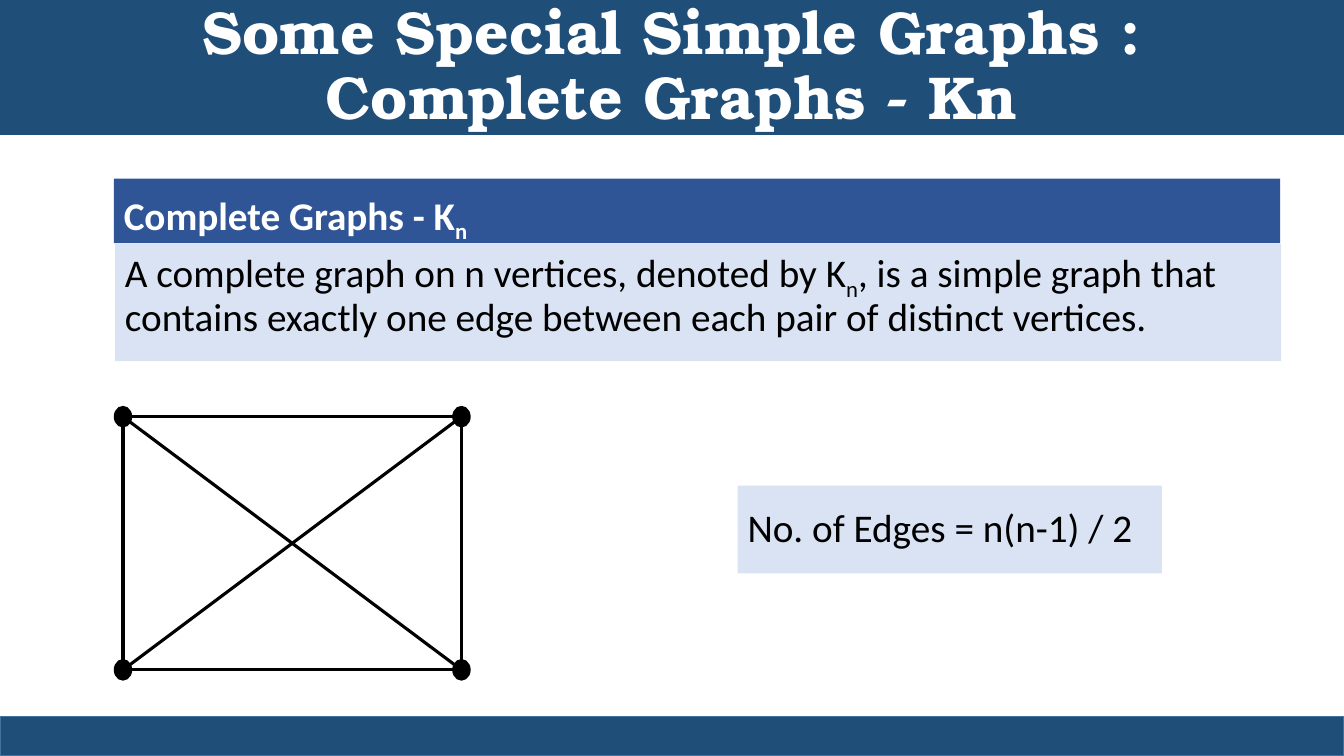
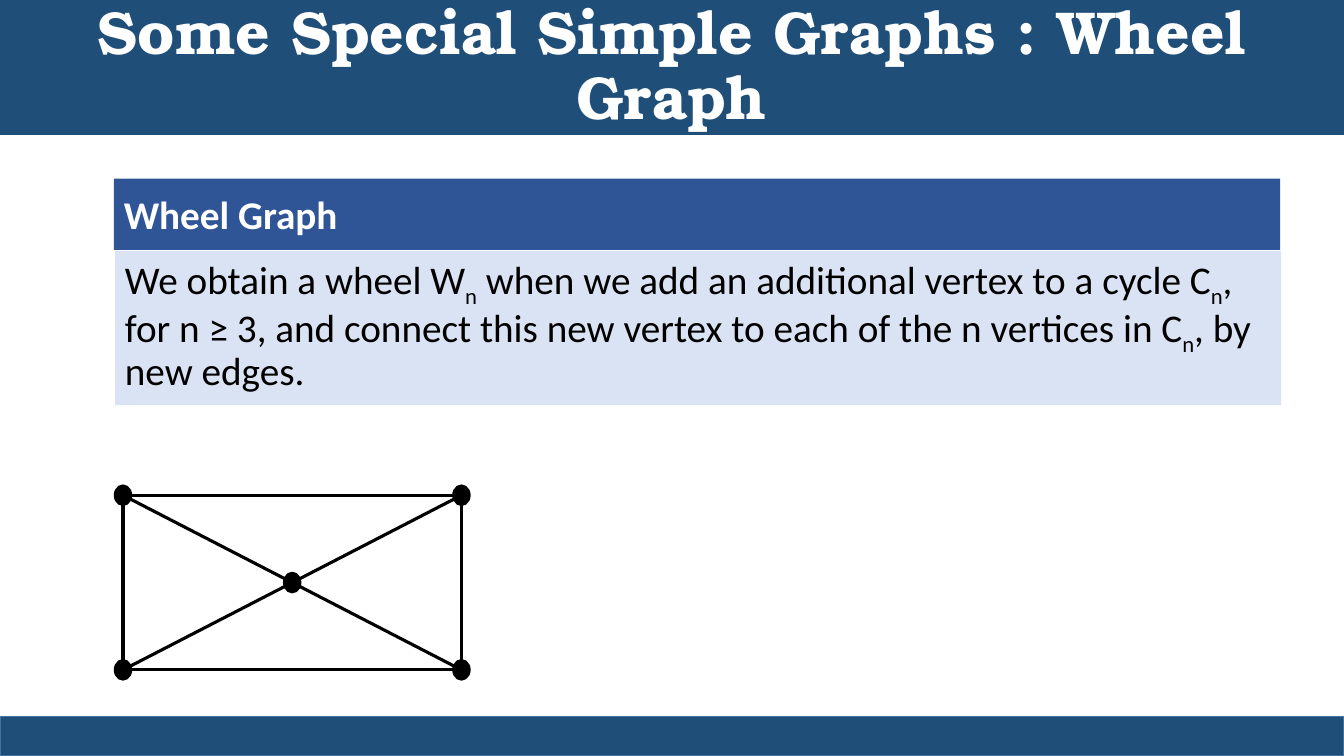
from itertools import combinations

from lxml import etree
from pptx import Presentation
from pptx.dml.color import RGBColor
from pptx.enum.shapes import MSO_CONNECTOR, MSO_SHAPE
from pptx.enum.text import MSO_ANCHOR, PP_ALIGN
from pptx.oxml.ns import qn
from pptx.util import Cm, Pt

SLIDE_WIDTH, SLIDE_HEIGHT = 33.87, 19.05
BAND, BAND_EDGE = "1F4E79", "43739E"
HEADING_FILL, BODY_FILL = "2F5597", "DAE3F3"
WHITE, BLACK = "FFFFFF", "000000"
TITLE_FONT, TEXT_FONT = "TeX Gyre Bonum", "Calibri"
TITLE_SIZE, TEXT_SIZE = 43.2, 28
VERTEX_WIDTH, VERTEX_HEIGHT = 0.43, 0.51


def color(value):
    return RGBColor.from_string(value)


def add_box(slide, box, fill, line=None, kind=MSO_SHAPE.RECTANGLE):
    shape = slide.shapes.add_shape(kind, *map(Cm, box))
    shape.shadow.inherit = False
    shape.fill.solid()
    shape.fill.fore_color.rgb = color(fill)
    if line:
        shape.line.color.rgb = color(line)
        shape.line.width = Pt(1)
    else:
        shape.line.fill.background()
    return shape


def write(shape, text, size=TEXT_SIZE, font=TEXT_FONT, ink=BLACK, bold=False,
          spacing=0.9, align=PP_ALIGN.LEFT, anchor=MSO_ANCHOR.TOP):
    frame = shape.text_frame
    frame.word_wrap = True
    frame.vertical_anchor = anchor
    paragraph = frame.paragraphs[0]
    paragraph.alignment = align
    paragraph.line_spacing = spacing
    paragraph.font.size = Pt(size)
    paragraph.font.name = font
    paragraph.font.bold = bold
    paragraph.font.color.rgb = color(ink)
    for line_index, line in enumerate(text.split("\n")):
        if line_index:
            paragraph.add_line_break()
        for part_index, part in enumerate(line.split("_")):
            run = paragraph.add_run()
            run.text = part
            if part_index % 2:
                run._r.get_or_add_rPr().set("baseline", "-25000")


def add_frame(presentation, title):
    slide = presentation.slides.add_slide(presentation.slide_layouts[6])
    band = add_box(slide, (0, 0, SLIDE_WIDTH, 3.4), BAND)
    write(band, title, TITLE_SIZE, TITLE_FONT, WHITE, bold=True,
          align=PP_ALIGN.CENTER, anchor=MSO_ANCHOR.MIDDLE)
    add_box(slide, (0, 18.06, SLIDE_WIDTH, 0.99), BAND, BAND_EDGE)
    return slide


def add_definition(slide, box, heading_height, heading, body):
    left, top, width, height = box
    heading_box = add_box(slide, (left, top, width, heading_height), HEADING_FILL)
    write(heading_box, heading, ink=WHITE, bold=True, spacing=1.14)
    body_box = add_box(slide, (left + 0.03, top + heading_height + 0.02,
                               width, height - heading_height), BODY_FILL)
    write(body_box, body)


def add_edge(slide, start, end):
    edge = slide.shapes.add_connector(MSO_CONNECTOR.STRAIGHT, *map(Cm, start + end))
    edge.line.color.rgb = color(BLACK)
    edge.line.width = Pt(2.25)
    etree.SubElement(edge._element.spPr, qn("a:effectLst"))


def add_vertex(slide, center):
    x, y = center
    add_box(slide, (x - VERTEX_WIDTH / 2, y - VERTEX_HEIGHT / 2,
                    VERTEX_WIDTH, VERTEX_HEIGHT), BLACK, BLACK, MSO_SHAPE.OVAL)


def add_graph(slide, box, has_hub):
    left, top, width, height = box
    corners = [(left, top), (left + width, top),
               (left + width, top + height), (left, top + height)]
    if has_hub:
        hub = (left + width / 2, top + height / 2)
        vertices = corners + [hub]
        edges = list(zip(corners, corners[1:] + corners[:1]))
        edges += [(hub, corner) for corner in corners]
    else:
        vertices = corners
        edges = combinations(corners, 2)
    for start, end in edges:
        add_edge(slide, start, end)
    for vertex in vertices:
        add_vertex(slide, vertex)


def add_complete_graph_slide(presentation):
    slide = add_frame(presentation, "Some Special Simple Graphs :\nComplete Graphs - Kn")
    add_definition(
        slide, (2.87, 4.5, 29.39, 4.58), 1.63, "Complete Graphs - K_n_",
        "A complete graph on n vertices, denoted by K_n_, is a simple graph that "
        "contains exactly one edge between each pair of distinct vertices.")
    add_graph(slide, (3.1, 10.5, 8.53, 6.38), has_hub=False)
    formula = add_box(slide, (18.59, 12.24, 10.69, 2.21), BODY_FILL)
    write(formula, "No. of Edges = n(n-1) / 2", anchor=MSO_ANCHOR.MIDDLE)


def add_wheel_graph_slide(presentation):
    slide = add_frame(presentation, "Some Special Simple Graphs : Wheel Graph")
    add_definition(
        slide, (2.87, 4.5, 29.39, 5.69), 1.8, "Wheel Graph",
        "We obtain a wheel W_n_ when we add an additional vertex to a cycle C_n_, "
        "for n ≥ 3, and connect this new vertex to each of the n vertices in C_n_, "
        "by new edges.")
    add_graph(slide, (3.1, 12.48, 8.53, 4.4), has_hub=True)


def main():
    presentation = Presentation()
    presentation.slide_width = Cm(SLIDE_WIDTH)
    presentation.slide_height = Cm(SLIDE_HEIGHT)
    add_complete_graph_slide(presentation)
    add_wheel_graph_slide(presentation)
    presentation.save("out.pptx")


if __name__ == "__main__":
    main()
